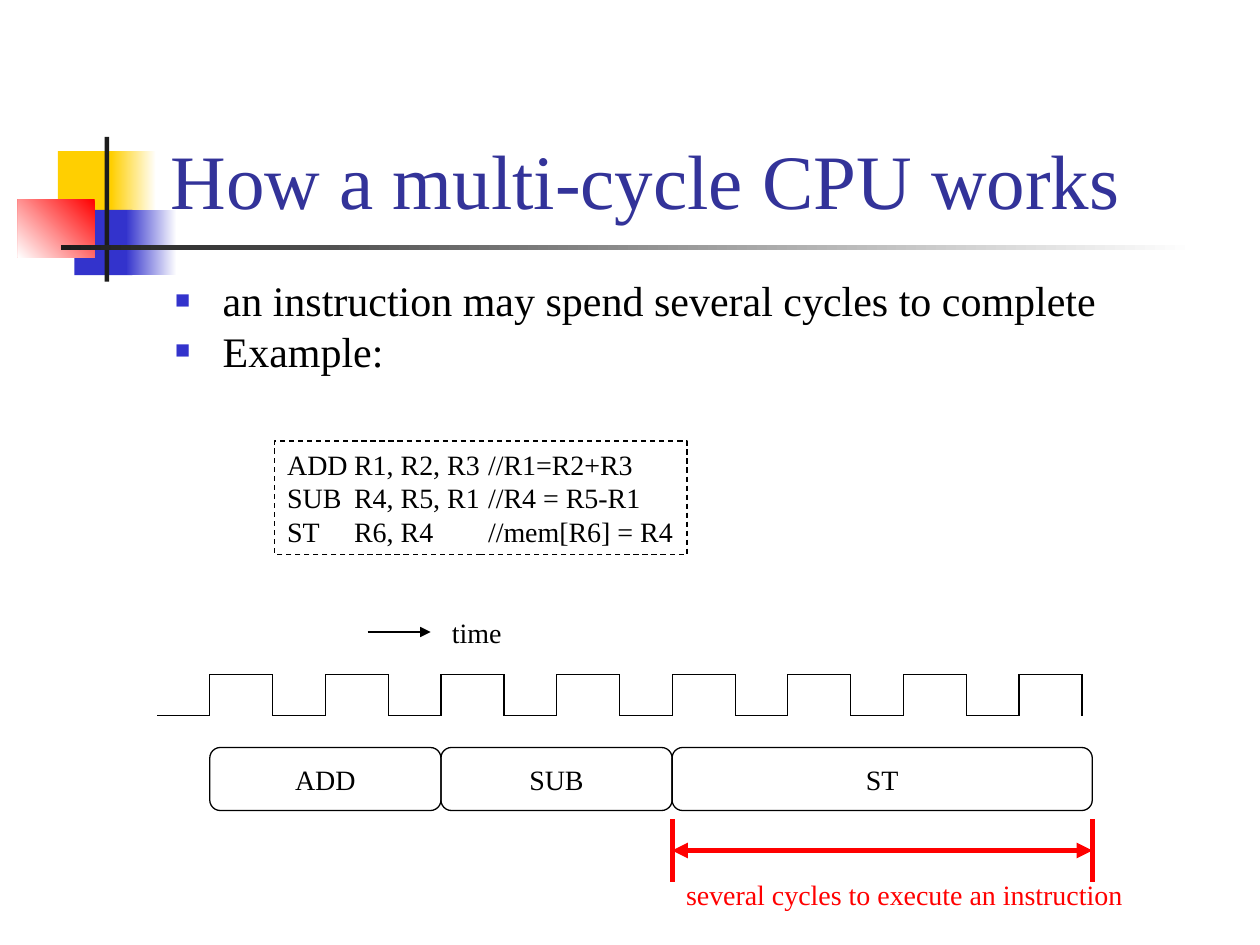
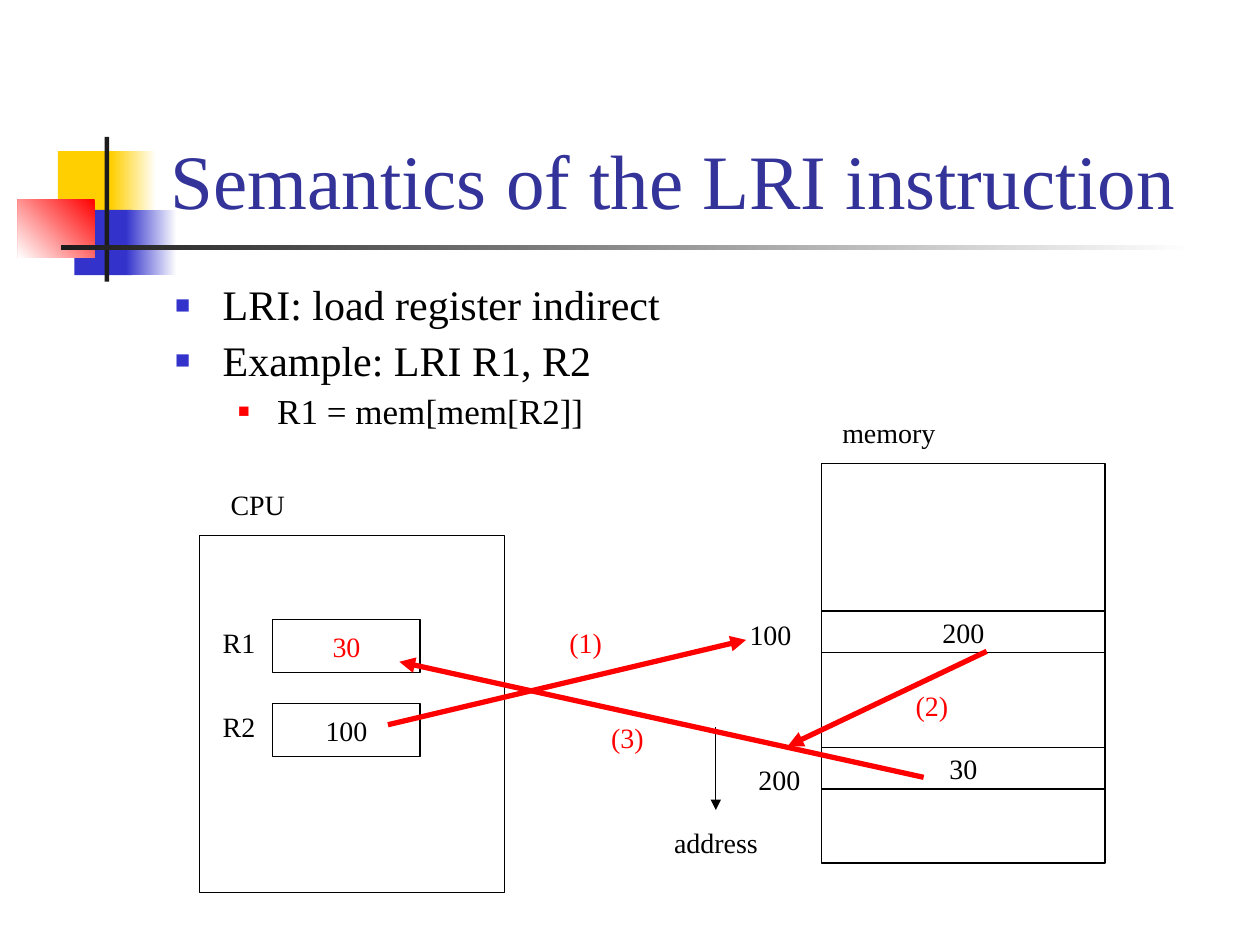
import pptx
import pptx.dml.color
import pptx.enum.dml
import pptx.enum.shapes
import pptx.enum.text
import pptx.oxml.ns
import pptx.util
from dataclasses import dataclass
from itertools import pairwise
from lxml import etree

Cm = pptx.util.Cm
Pt = pptx.util.Pt
Shapes = pptx.enum.shapes.MSO_SHAPE
Align = pptx.enum.text.PP_ALIGN
Anchor = pptx.enum.text.MSO_ANCHOR


@dataclass(frozen=True)
class Theme:
    font: str = "Times New Roman"
    title: str = "333399"
    ink: str = "000000"
    red: str = "FF0000"
    blue: str = "3333CC"
    yellow: str = "FFCF01"
    dark: str = "1C1C1C"
    white: str = "FFFFFF"
    title_size: int = 44
    label_size: int = 16
    thin: float = 0.75
    thick: float = 3


THEME = Theme()

# Content; all positions and lengths are in centimetres.
# Bands: left, top, width, height, colour or (start, end, angle)
BANDS = [
    (1.17, 3.05, 1.22, 1.32, THEME.yellow),
    (2.24, 3.05, 0.91, 1.32, (THEME.white, THEME.yellow, 180)),
    (1.5, 4.23, 1.17, 1.32, THEME.blue),
    (2.54, 4.23, 1.02, 1.32, (THEME.white, THEME.blue, 180)),
    (0.36, 4.02, 1.55, 1.17, (THEME.red, THEME.white, 225)),
    (2.11, 2.76, 0.09, 2.92, THEME.dark),
    (1.23, 4.94, 22.86, 0.1, (THEME.white, THEME.dark, 180)),
]
TITLE_BOX = (3.19, 0.6, 21.64, 4.06)
# Bullet levels: indent, hanging, text size, space before, bullet colour, bullet percent
LEVELS = [
    (0.96, 0.96, 24, 6, THEME.blue, 60),
    (2.06, 0.79, 20, 5, THEME.red, 55),
]
LABEL_HEIGHT = 0.94

CYCLE_SLIDE = {
    "title": "How a multi-cycle CPU works",
    "bullets": [
        (0, "an instruction may spend several cycles to complete"),
        (0, "Example:"),
    ],
    "bullet_box": (3.28, 5.61, 19.99, 2.24),
    "line_spacing": 0.8,
}
CODE = [
    ("ADD", "R1, R2, R3", "//R1=R2+R3"),
    ("SUB", "R4, R5, R1", "//R4 = R5-R1"),
    ("ST", "R6, R4", "//mem[R6] = R4"),
]
CODE_BOX = (5.54, 8.89, 8.31, 2.29)
CODE_TABS = (1.35, 4.05)
CLOCK = {"left": 4.23, "high": 13.59, "low": 14.43,
         "period": 2.33, "pulse": 1.27, "cycles": 8}
STAGES = [("ADD", 4.66), ("SUB", 4.66), ("ST", 8.47)]
STAGE_TOP, STAGE_HEIGHT = 15.07, 1.27
SPAN_TOP, SPAN_BOTTOM = 16.51, 17.78

LRI_SLIDE = {
    "title": "Semantics of the LRI instruction",
    "bullets": [
        (0, "LRI: load register indirect"),
        (0, "Example: LRI R1, R2"),
        (1, "R1 = mem[mem[R2]]"),
    ],
    "bullet_box": (3.28, 5.61, 11.33, 3.28),
    "line_spacing": 0.9,
}
CPU_BOX = (4.02, 10.8, 6.15, 7.19)
MEMORY_BOX = (16.56, 9.35, 5.72, 8.05)
REGISTERS = [("R1", "30", 12.49, THEME.red), ("R2", "100", 14.18, THEME.ink)]
# Memory cells: value, top, address, address left, address top
CELLS = [("200", 12.32, "100", 14.86, 12.32), ("30", 15.07, "200", 15.04, 15.24)]
# Steps: text, arrow start, arrow end, label position
STEPS = [
    ("(1)", (7.82, 14.61), (15.04, 12.9), (11.23, 12.49)),
    ("(2)", (19.89, 13.13), (15.88, 15.04), (18.21, 13.76)),
    ("(3)", (18.62, 15.67), (8.05, 13.34), (12.07, 14.4)),
]


# Helpers
def rgb(colour):
    return pptx.dml.color.RGBColor.from_string(colour)


def lengths(values):
    return [Cm(value) for value in values]


def add_child(parent, tag, **attributes):
    child = etree.SubElement(parent, pptx.oxml.ns.qn(tag))
    for name, value in attributes.items():
        child.set(name, str(value))
    return child


def add_run(paragraph, text, size=THEME.label_size, colour=THEME.ink):
    run = paragraph.add_run()
    run.text = text
    run.font.name = THEME.font
    run.font.size = Pt(size)
    run.font.color.rgb = rgb(colour)


def add_text_box(slide, box, wrap=True):
    frame = slide.shapes.add_textbox(*lengths(box)).text_frame
    frame.word_wrap = wrap
    return frame


def add_label(slide, text, left, top, width, colour=THEME.ink):
    frame = add_text_box(slide, (left, top, width, LABEL_HEIGHT), wrap=False)
    frame.auto_size = pptx.enum.text.MSO_AUTO_SIZE.SHAPE_TO_FIT_TEXT
    add_run(frame.paragraphs[0], text, colour=colour)


def add_box(slide, box, text="", colour=THEME.ink, kind=Shapes.RECTANGLE):
    shape = slide.shapes.add_shape(kind, *lengths(box))
    shape.shadow.inherit = False
    shape.fill.background()
    shape.line.color.rgb = rgb(THEME.ink)
    shape.line.width = Pt(THEME.thin)
    if text:
        frame = shape.text_frame
        frame.word_wrap = False
        frame.vertical_anchor = Anchor.MIDDLE
        frame.paragraphs[0].alignment = Align.CENTER
        add_run(frame.paragraphs[0], text, colour=colour)
    return shape


def add_line(slide, start, end, colour=THEME.ink, width=THEME.thin, arrows=()):
    connector = slide.shapes.add_connector(
        pptx.enum.shapes.MSO_CONNECTOR.STRAIGHT, *lengths(start + end))
    connector.line.color.rgb = rgb(colour)
    connector.line.width = Pt(width)
    line = connector.line._get_or_add_ln()
    for arrow in arrows:
        add_child(line, f"a:{arrow}", type="triangle")
    add_child(connector._element.spPr, "a:effectLst")


def add_bullet(paragraph, level, text, line_spacing):
    indent, hanging, size, space, colour, percent = LEVELS[level]
    paragraph.level = level
    paragraph.line_spacing = line_spacing
    paragraph.space_before = Pt(space)
    properties = paragraph._p.get_or_add_pPr()
    properties.set("marL", str(Cm(indent)))
    properties.set("indent", str(-Cm(hanging)))
    add_child(add_child(properties, "a:buClr"), "a:srgbClr", val=colour)
    add_child(properties, "a:buSzPct", val=percent * 1000)
    add_child(properties, "a:buFont", typeface=THEME.font)
    add_child(properties, "a:buChar", char="■")
    add_run(paragraph, text, size)


def paragraphs_for(frame, items):
    for index, item in enumerate(items):
        yield (frame.add_paragraph() if index else frame.paragraphs[0]), item


# Shared slide frame: bands, title and bullets
def add_slide(presentation, content):
    slide = presentation.slides.add_slide(presentation.slide_layouts[6])
    for *box, paint in BANDS:
        band = slide.shapes.add_shape(Shapes.RECTANGLE, *lengths(box))
        band.shadow.inherit = False
        band.line.fill.background()
        if isinstance(paint, str):
            band.fill.solid()
            band.fill.fore_color.rgb = rgb(paint)
        else:
            *colours, angle = paint
            band.fill.gradient()
            band.fill.gradient_angle = angle
            for stop, colour in zip(band.fill.gradient_stops, colours):
                stop.color.rgb = rgb(colour)

    title = add_text_box(slide, TITLE_BOX)
    title.vertical_anchor = Anchor.BOTTOM
    add_run(title.paragraphs[0], content["title"], THEME.title_size, THEME.title)

    body = add_text_box(slide, content["bullet_box"])
    for paragraph, (level, text) in paragraphs_for(body, content["bullets"]):
        add_bullet(paragraph, level, text, content["line_spacing"])
    return slide


def build_cycle_slide(presentation):
    slide = add_slide(presentation, CYCLE_SLIDE)

    # Example code, in tabbed columns
    code_box = add_box(slide, CODE_BOX)
    code_box.line.dash_style = pptx.enum.dml.MSO_LINE.DASH
    frame = code_box.text_frame
    frame.word_wrap = False
    frame.vertical_anchor = Anchor.TOP
    for paragraph, columns in paragraphs_for(frame, CODE):
        paragraph.alignment = Align.LEFT
        tabs = add_child(paragraph._p.get_or_add_pPr(), "a:tabLst")
        for position in CODE_TABS:
            add_child(tabs, "a:tab", pos=Cm(position), algn="l")
        add_run(paragraph, "\t".join(columns))

    # Clock signal
    high, low = CLOCK["high"], CLOCK["low"]
    points = [(CLOCK["left"] + CLOCK["pulse"] - CLOCK["period"], low)]
    for cycle in range(CLOCK["cycles"]):
        rise = CLOCK["left"] + cycle * CLOCK["period"]
        fall = rise + CLOCK["pulse"]
        points += [(rise, low), (rise, high), (fall, high), (fall, low)]
    for start, end in pairwise(points):
        add_line(slide, start, end)
    add_line(slide, (7.41, 12.74), (8.68, 12.74), arrows=["tailEnd"])
    add_label(slide, "time", 8.86, 12.28, 1.5)

    # Instructions under the clock
    right = CLOCK["left"]
    for name, width in STAGES:
        left, right = right, right + width
        add_box(slide, (left, STAGE_TOP, width, STAGE_HEIGHT), name,
                kind=Shapes.ROUNDED_RECTANGLE)

    # Span of the last instruction
    for x in (left, right):
        add_line(slide, (x, SPAN_TOP), (x, SPAN_BOTTOM), THEME.red, THEME.thick)
    middle = (SPAN_TOP + SPAN_BOTTOM) / 2
    add_line(slide, (left, middle), (right, middle), THEME.red, THEME.thick,
             ["headEnd", "tailEnd"])
    add_label(slide, "several cycles to execute an instruction",
              13.58, 17.57, 9.35, THEME.red)


def build_lri_slide(presentation):
    slide = add_slide(presentation, LRI_SLIDE)

    # CPU and registers
    add_box(slide, CPU_BOX)
    add_label(slide, "CPU", 4.4, 9.7, 1.6)
    for name, value, top, colour in REGISTERS:
        add_box(slide, (5.5, top, 2.97, 1.07), value, colour)
        add_label(slide, name, 4.24, top, 1.17)

    # Memory, cells and their addresses
    add_box(slide, MEMORY_BOX)
    add_label(slide, "memory", 16.73, 8.26, 2.4)
    for value, top, address, address_left, address_top in CELLS:
        add_box(slide, (MEMORY_BOX[0], top, MEMORY_BOX[2], 0.84), value)
        add_label(slide, address, address_left, address_top, 1.36)
    add_line(slide, (14.43, 14.66), (14.43, 16.33), arrows=["tailEnd"])
    add_label(slide, "address", 13.34, 16.51, 2.22)

    # Numbered access steps
    for text, start, end, position in STEPS:
        add_line(slide, start, end, THEME.red, THEME.thick, ["tailEnd"])
        add_label(slide, text, *position, 1.17, THEME.red)


def main():
    presentation = pptx.Presentation()
    presentation.slide_width = Cm(25.4)
    presentation.slide_height = Cm(19.05)
    build_cycle_slide(presentation)
    build_lri_slide(presentation)
    presentation.save("out.pptx")


if __name__ == "__main__":
    main()
